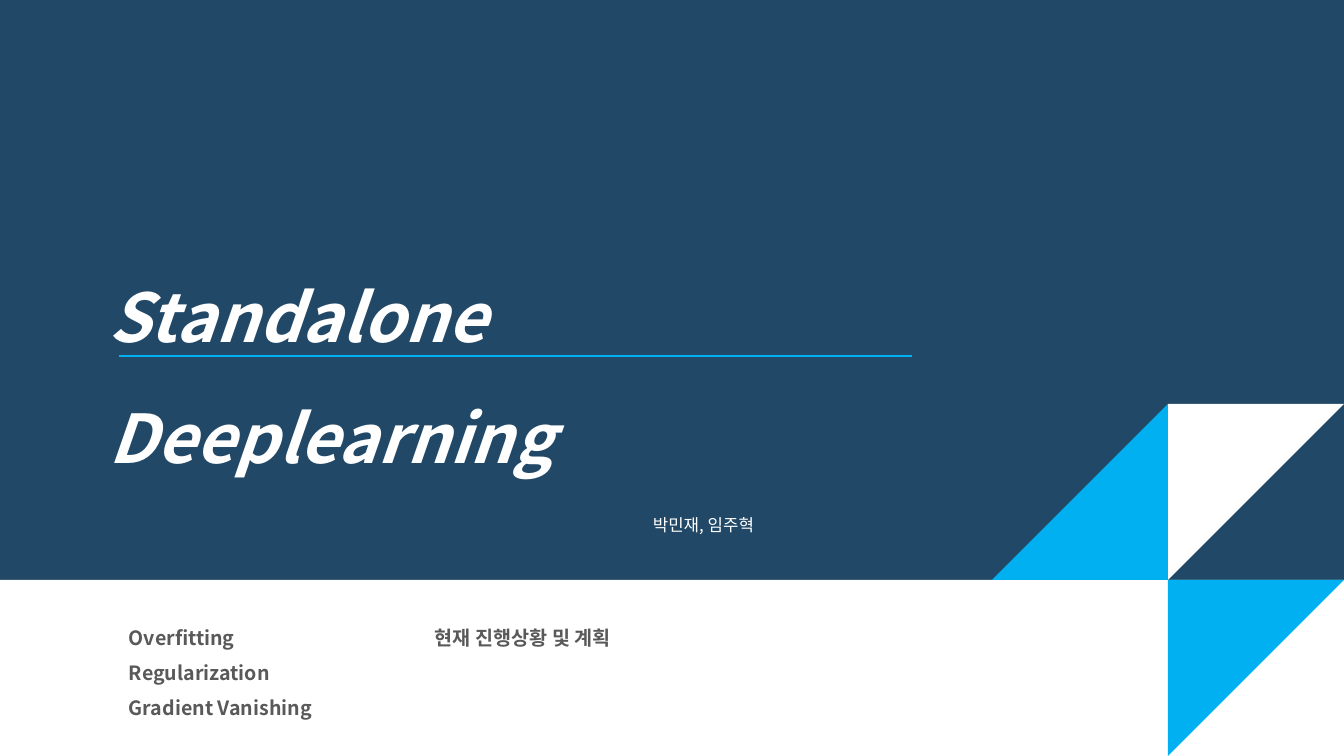
from lxml import etree
from pptx import Presentation, util as u
from pptx.dml.color import RGBColor
from pptx.enum import shapes, text
from pptx.oxml import ns

SCALE = 914400 / 100.8
WIDTH, HEIGHT = 1344, 756
TILE = 176
BAND_TOP = HEIGHT - TILE
COLORS = {"navy": "214867", "white": "FFFFFF", "cyan": "00B0F0", "gray": "595959"}


def px(length):
    """Turn pixels into EMU."""
    return u.Emu(round(length * SCALE))


def color(name):
    """Look up a palette colour."""
    return RGBColor.from_string(COLORS[name])


class Deck:
    """Holds the style and the current slide."""

    font = "Noto Sans CJK KR"
    line_spacing = 1.5

    def __init__(self):
        """Open a blank slide with a navy background."""
        self.prs = Presentation()
        self.prs.slide_width, self.prs.slide_height = px(WIDTH), px(HEIGHT)
        self.slide = self.prs.slides.add_slide(self.prs.slide_layouts[6])
        background = self.slide.background.fill
        background.solid()
        background.fore_color.rgb = color("navy")

    def shape(self, kind, left, top, width, height, fill, rotation=0):
        """Add a filled shape without an outline."""
        item = self.slide.shapes.add_shape(kind, *map(px, (left, top, width, height)))
        item.rotation = rotation
        item.shadow.inherit = False
        item.fill.solid()
        item.fill.fore_color.rgb = color(fill)
        item.line.fill.background()

    def triangle(self, left, top, fill, rotation):
        """Add a right triangle that fills one tile."""
        self.shape(shapes.MSO_SHAPE.RIGHT_TRIANGLE, left, top, TILE, TILE, fill, rotation)

    def rule(self, left, right, y, tint):
        """Add a thin horizontal line."""
        line = self.slide.shapes.add_connector(
            shapes.MSO_CONNECTOR.STRAIGHT, px(left), px(y), px(right), px(y))
        line.line.color.rgb = color(tint)
        line.line.width = u.Pt(1)
        etree.SubElement(line._element.spPr, ns.qn("a:effectLst"))

    def text(self, lines, left, top, width, height, size, tint, bold=False, italic=False):
        """Add a text box with one paragraph per line."""
        frame = self.slide.shapes.add_textbox(*map(px, (left, top, width, height))).text_frame
        frame.word_wrap = True
        frame.auto_size = text.MSO_AUTO_SIZE.SHAPE_TO_FIT_TEXT
        frame.text = "\n".join(lines)
        for paragraph in frame.paragraphs:
            paragraph.line_spacing = self.line_spacing
            for run in paragraph.runs:
                font = run.font
                font.name, font.size = self.font, u.Pt(size)
                font.bold, font.italic = bold, italic
                font.color.rgb = color(tint)
                east_asian = etree.SubElement(run._r.get_or_add_rPr(), ns.qn("a:ea"))
                east_asian.set("typeface", self.font)


deck = Deck()
deck.shape(shapes.MSO_SHAPE.RECTANGLE, 0, BAND_TOP, WIDTH, TILE, "white")

right_column = WIDTH - TILE
upper_row = BAND_TOP - TILE
deck.triangle(right_column, upper_row, "white", 90)
deck.triangle(right_column - TILE, upper_row, "cyan", 270)
deck.triangle(right_column, BAND_TOP, "cyan", 90)

deck.text(["Standalone Deeplearning"], 99, 230, 834, 250, 48, "white", bold=True, italic=True)
deck.text(["박민재, 임주혁"], 643, 500, 200, 40, 12, "white")
deck.rule(119, 912, 356, "cyan")

topic_columns = [
    ["Overfitting", "Regularization", "Gradient Vanishing"],
    ["현재 진행상황 및 계획"],
]
for column, topics in enumerate(topic_columns):
    deck.text(topics, 119 + 306 * column, 609, 284, 10 + 36 * len(topics), 14, "gray", bold=True)

deck.prs.save("out.pptx")
